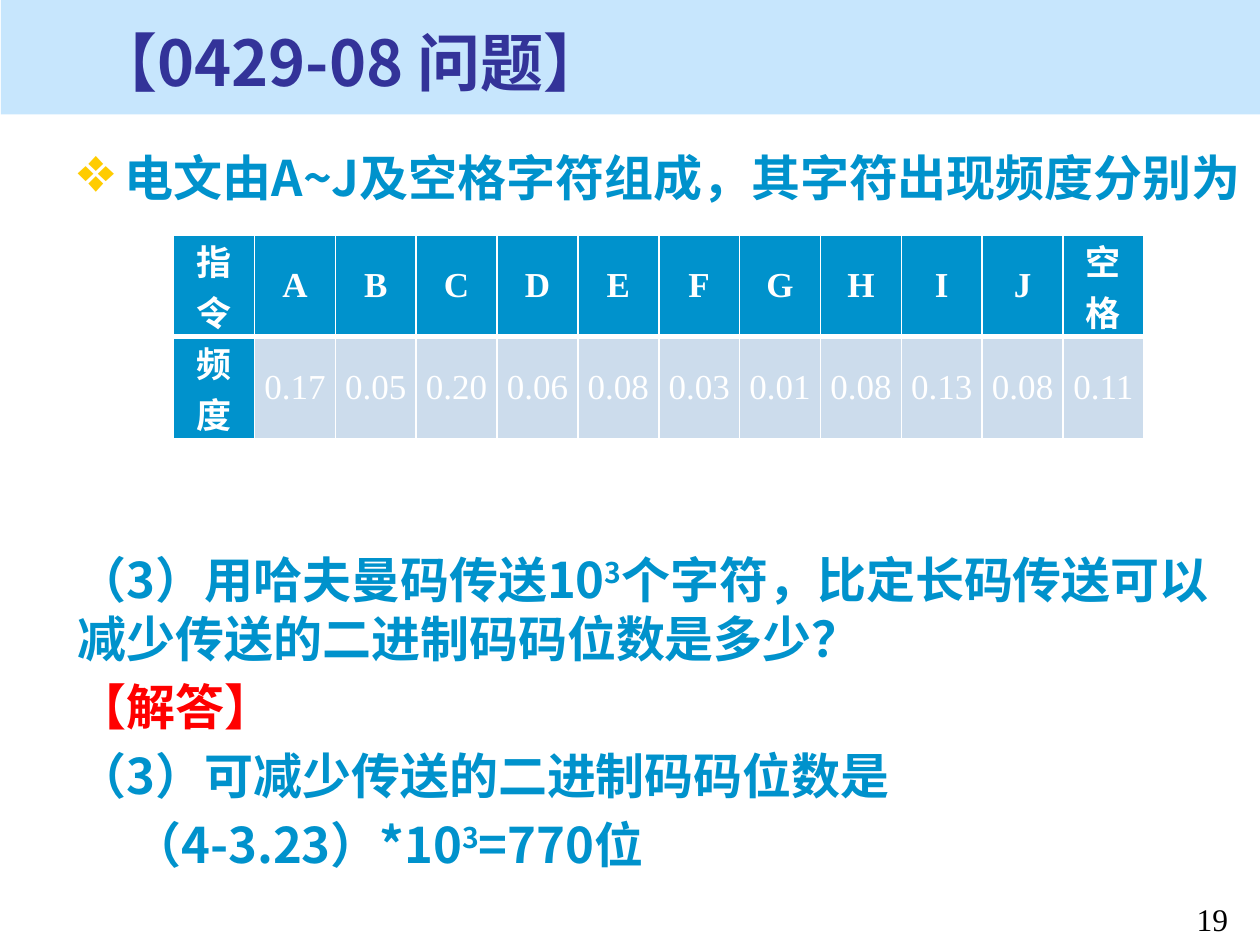
from lxml.etree import SubElement
from pptx import Presentation
from pptx.dml.color import RGBColor
from pptx.enum.shapes import MSO_SHAPE
from pptx.enum.text import MSO_ANCHOR, PP_ALIGN
from pptx.oxml.ns import qn
from pptx.util import Cm, Pt

COLORS = {
    "band": "C7E6FD",
    "title": "333399",
    "blue": "0092CC",
    "pale": "CCDCEC",
    "bullet": "FFCC00",
    "answer": "FF0000",
    "black": "000000",
    "white": "FFFFFF",
}
SANS = "Noto Sans CJK SC"
SERIF = "Times New Roman"
FREQUENCIES = {
    "指令": "频度", "A": "0.17", "B": "0.05", "C": "0.20", "D": "0.06", "E": "0.08",
    "F": "0.03", "G": "0.01", "H": "0.08", "I": "0.13", "J": "0.08", "空格": "0.11",
}


def color(name):
    return RGBColor.from_string(COLORS[name])


def style_paragraph(para, size, color_name, bold=False, face=SANS):
    font = para.font
    font.size, font.bold, font.name = Pt(size), bold, face
    font.color.rgb = color(color_name)
    defaults = para._p.pPr.find(qn("a:defRPr"))
    SubElement(defaults, qn("a:ea")).set("typeface", SANS)


def add_text_box(page, left, top, width, height, anchor=MSO_ANCHOR.TOP):
    box = page.shapes.add_textbox(Cm(left), Cm(top), Cm(width), Cm(height))
    frame = box.text_frame
    frame.word_wrap = True
    frame.vertical_anchor = anchor
    return frame


def add_spans(para, parts):
    """Every second part is a superscript."""
    for index, text in enumerate(parts):
        span = para.add_run()
        span.text = text
        if index % 2:
            span._r.get_or_add_rPr().set("baseline", "30000")


def set_indent(para, margin, first_line=0.0):
    properties = para._p.get_or_add_pPr()
    properties.set("marL", str(Cm(margin)))
    properties.set("indent", str(Cm(first_line)))
    return properties


def add_bullet(para, symbol, color_name):
    properties = set_indent(para, 0.95, -0.95)
    bullet_color = SubElement(properties, qn("a:buClr"))
    SubElement(bullet_color, qn("a:srgbClr")).set("val", COLORS[color_name])
    SubElement(properties, qn("a:buSzPct")).set("val", "130000")
    SubElement(properties, qn("a:buChar")).set("char", symbol)


def add_band(page):
    band = page.shapes.add_shape(MSO_SHAPE.RECTANGLE, Cm(0.02), 0, Cm(25.38), Cm(2.31))
    band.shadow.inherit = False
    band.fill.solid()
    band.fill.fore_color.rgb = color("band")
    band.line.fill.background()


def set_borders(cell, bottom_width):
    properties = cell._tc.get_or_add_tcPr()
    widths = {"a:lnL": 1, "a:lnR": 1, "a:lnT": 1, "a:lnB": bottom_width}
    for index, (tag, width) in enumerate(widths.items()):
        line = properties.makeelement(qn(tag), {"w": str(Pt(width))})
        fill = SubElement(line, qn("a:solidFill"))
        SubElement(fill, qn("a:srgbClr")).set("val", COLORS["white"])
        properties.insert(index, line)


def fill_cell(cell, text, heading, bottom_width):
    cell.text = text
    cell.vertical_anchor = MSO_ANCHOR.MIDDLE
    # Values need the wider line; two-character headings break in two
    cell.margin_left = cell.margin_right = Cm(0.2 if heading else 0.1)
    cell.margin_top = cell.margin_bottom = 0
    cell.fill.solid()
    cell.fill.fore_color.rgb = color("blue" if heading else "pale")
    para = cell.text_frame.paragraphs[0]
    para.alignment = PP_ALIGN.CENTER
    style_paragraph(para, 20, "white", bold=heading, face=SERIF)
    set_borders(cell, bottom_width)


def add_frequency_table(page):
    table = page.shapes.add_table(
        2, len(FREQUENCIES), Cm(3.5), Cm(4.74), Cm(19.56), Cm(4.1)).table
    for row in table.rows:
        row.height = Cm(2.05)
    for column, (symbol, frequency) in enumerate(FREQUENCIES.items()):
        table.columns[column].width = Cm(1.63)
        fill_cell(table.cell(0, column), symbol, True, 3)
        fill_cell(table.cell(1, column), frequency, column == 0, 1)


def add_question(page):
    frame = add_text_box(page, 1.32, 2.84, 24.08, 2.6)
    para = frame.paragraphs[0]
    para.text = "电文由A~J及空格字符组成，其字符出现频度分别为"
    add_bullet(para, "❖", "bullet")
    style_paragraph(para, 28, "blue", bold=True)


def add_answer(page):
    lines = [
        (["（3）用哈夫曼码传送10", "3", "个字符，比定长码传送可以减少传送的二进制码码位数是多少？"],
         "blue", 0),
        (["【解答】"], "answer", 0),
        (["（3）可减少传送的二进制码码位数是"], "blue", 0),
        (["（4-3.23）*10", "3", "=770位"], "blue", 1.1),
    ]
    frame = add_text_box(page, 1.32, 10.95, 24.08, 7.3)
    for index, (parts, color_name, margin) in enumerate(lines):
        para = frame.add_paragraph() if index else frame.paragraphs[0]
        add_spans(para, parts)
        set_indent(para, margin)
        if index:
            para.space_before = Pt(5.6)
        style_paragraph(para, 28, color_name, bold=True)


def main():
    deck = Presentation()
    deck.slide_width, deck.slide_height = Cm(25.4), Cm(19.05)
    page = deck.slides.add_slide(deck.slide_layouts[6])

    # Heading
    add_band(page)
    title = add_text_box(page, 1.65, 0.38, 23.27, 1.7, MSO_ANCHOR.MIDDLE).paragraphs[0]
    title.text = "【0429-08 问题】"
    style_paragraph(title, 36, "title", bold=True)

    # Question, data and answer
    add_question(page)
    add_answer(page)
    add_frequency_table(page)

    # Page number
    number = add_text_box(page, 23.55, 18.01, 1.78, 0.84).paragraphs[0]
    number.text = "19"
    number.alignment = PP_ALIGN.CENTER
    style_paragraph(number, 18, "black", face=SERIF)

    deck.save("out.pptx")


if __name__ == "__main__":
    main()
